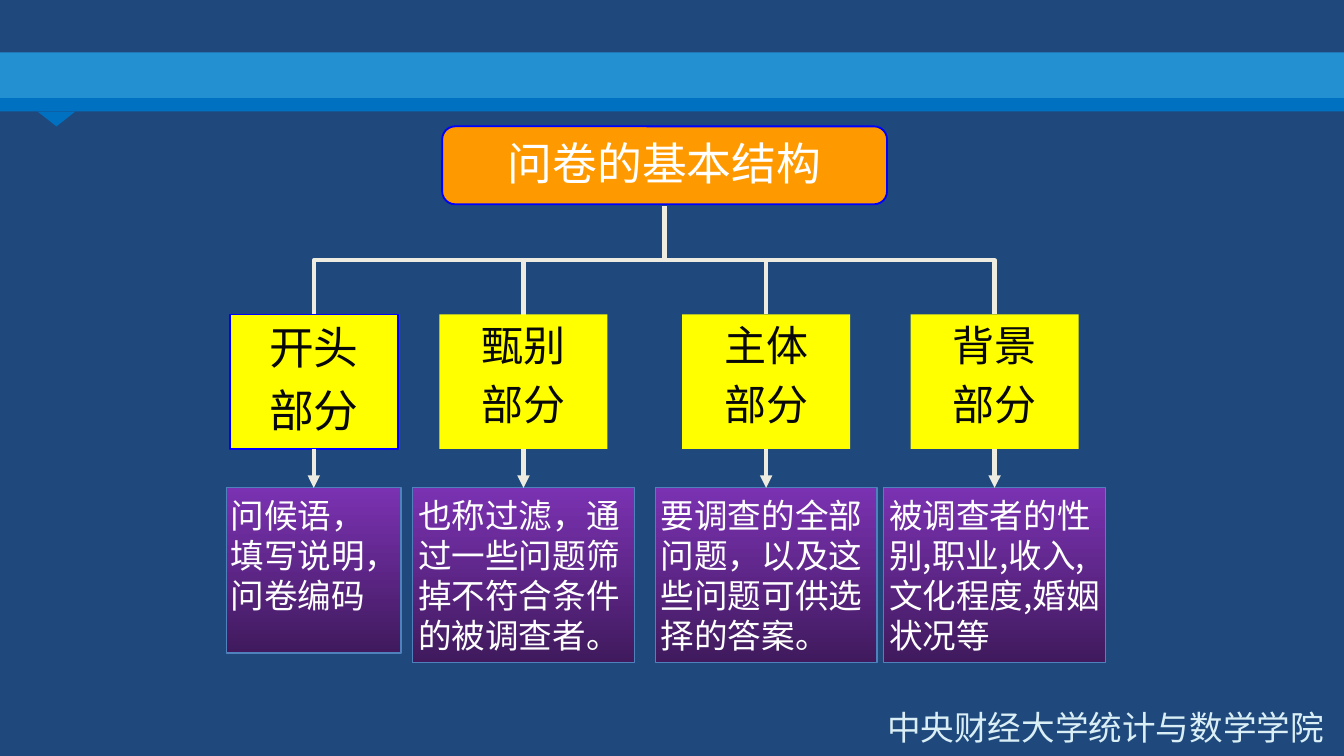
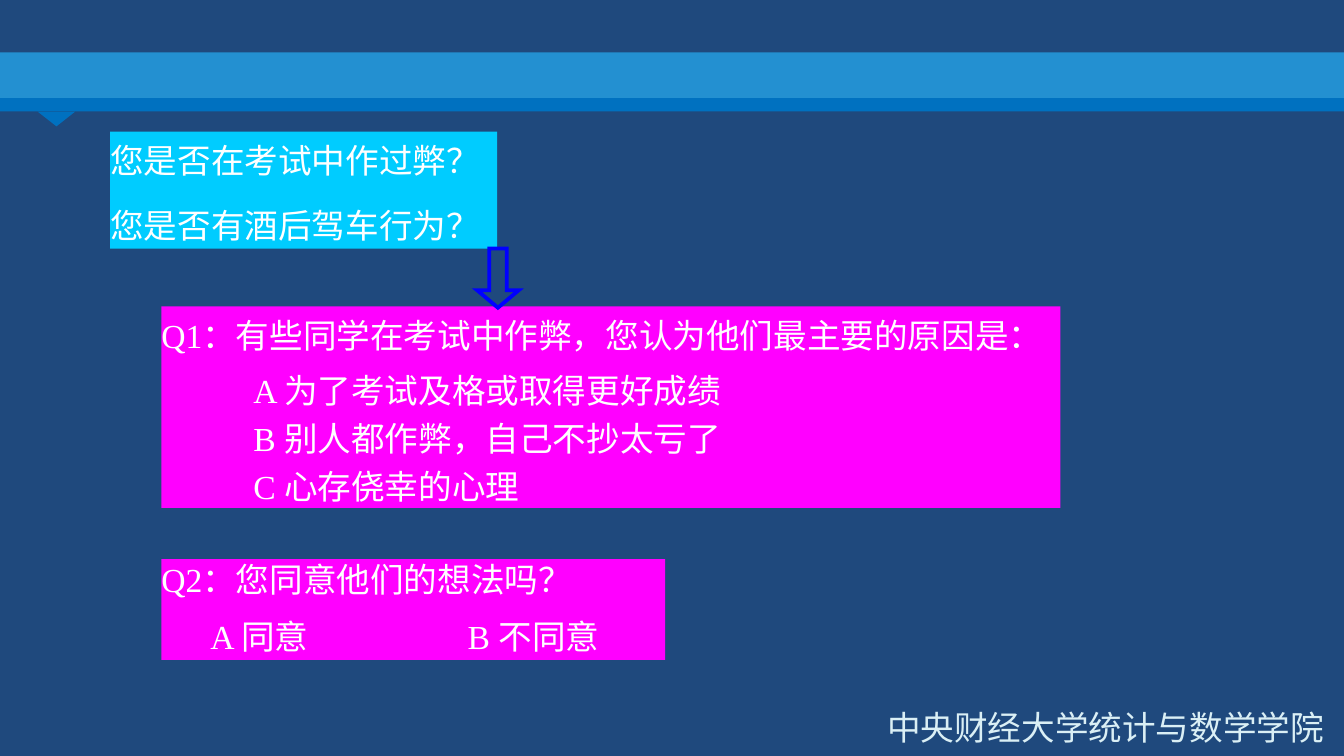
import lxml.etree
import pptx
import pptx.dml.color
import pptx.enum.shapes
import pptx.enum.text
import pptx.oxml.ns
import pptx.util

RGB = pptx.dml.color.RGBColor
SHAPE = pptx.enum.shapes.MSO_SHAPE
CONNECTOR = pptx.enum.shapes.MSO_CONNECTOR
ALIGN = pptx.enum.text.PP_ALIGN
Pt = pptx.util.Pt

NAVY = RGB(0x1F, 0x49, 0x7D)
SKY = RGB(0x23, 0x90, 0xD1)
AZURE = RGB(0x00, 0x71, 0xC0)
ICE = RGB(0xDA, 0xEF, 0xF5)
ORANGE = RGB(0xFF, 0x99, 0x00)
YELLOW = RGB(0xFF, 0xFF, 0x00)
BLUE = RGB(0x00, 0x00, 0xFF)
STEEL = RGB(0x4F, 0x81, 0xBD)
VIOLET = RGB(0x7B, 0x32, 0xB2)
PLUM = RGB(0x40, 0x1A, 0x5D)
CREAM = RGB(0xEE, 0xEC, 0xE1)
CYAN = RGB(0x00, 0xCC, 0xFF)
MAGENTA = RGB(0xFF, 0x00, 0xFF)
INK = RGB(0x08, 0x08, 0x08)
WHITE = RGB(0xFF, 0xFF, 0xFF)

SANS = "Noto Sans CJK SC"
LATIN = "Arial"
SERIF = "Times New Roman"

WIDTH = pptx.util.Inches(10)
HEIGHT = WIDTH * 9 // 16
COLUMN = WIDTH / 100
ROW = HEIGHT / 56.25
LINE_HEIGHT = 1.2

BRANCHES = [
    (6.5, 13, 12.3, 24, 0.3, BLUE, "开头", "问候语，\v填写说明，\v问卷编码"),
    (22.1, 16.5, 13, 22.5, 0.4, None, "甄别",
     "也称过滤，通过一些问题筛掉不符合条件的被调查者。"),
    (40.15, 16.5, 13, 22.5, 0.4, None, "主体",
     "要调查的全部问题，以及这些问题可供选择的答案。"),
    (57.15, 16.5, 13, 22.5, 0.4, None, "背景",
     "被调查者的性别,职业,收入,文化程度,婚姻状况等"),
]


def grid(left, top, width, height):
    """Turn columns and rows into whole lengths."""
    return [round(left * COLUMN), round(top * ROW),
            round(width * COLUMN), round(height * ROW)]


def set_all(target, values):
    """Set each attribute of the target from a dict."""
    for name, value in values.items():
        setattr(target, name, value)


def add_xml(parent, tag, **attributes):
    """Append a drawing element and return it."""
    return lxml.etree.SubElement(parent, pptx.oxml.ns.qn(tag), attributes)


def add_block(slide, kind, box, fill=None, edge=None, edge_width=1):
    """Add a preset shape with plain, gradient or no fill."""
    block = slide.shapes.add_shape(kind, *grid(*box))
    block.shadow.inherit = False
    if isinstance(fill, list):
        block.fill.gradient()
        block.fill.gradient_angle = 270
        for stop, colour in zip(block.fill.gradient_stops, fill):
            stop.color.rgb = colour
    elif fill:
        block.fill.solid()
        block.fill.fore_color.rgb = fill
    else:
        block.fill.background()
    if edge:
        block.line.color.rgb = edge
        block.line.width = Pt(edge_width)
    else:
        block.line.fill.background()
    return block


def write(block, lines, font, size, colour, align=ALIGN.LEFT, leading=1,
          gaps=(), insets=(0, 0, 0, 0), indent=0, tabs=()):
    """Write paragraphs with gaps as shares of the text size."""
    frame = block.text_frame
    left, top, right, bottom = grid(*insets)
    set_all(frame, {
        "word_wrap": True, "auto_size": pptx.enum.text.MSO_AUTO_SIZE.NONE,
        "vertical_anchor": pptx.enum.text.MSO_ANCHOR.TOP,
        "margin_left": left, "margin_top": top,
        "margin_right": right, "margin_bottom": bottom,
    })
    for index, line in enumerate(lines):
        paragraph = frame.add_paragraph() if index else frame.paragraphs[0]
        paragraph.text = line
        set_all(paragraph, {
            "alignment": align, "line_spacing": Pt(size * LINE_HEIGHT * leading),
            "space_before": Pt(size * gaps[index - 1] if index else 0),
        })
        properties = paragraph._p.get_or_add_pPr()
        if indent and index:
            properties.set("marL", str(round(indent * COLUMN)))
            properties.set("indent", "0")
        if tabs and index:
            stops = add_xml(properties, "a:tabLst")
            for tab in tabs:
                add_xml(stops, "a:tab", pos=str(round(tab * COLUMN)), algn="l")
        for run in paragraph.runs:
            set_all(run.font, {"name": font, "size": Pt(size)})
            run.font.color.rgb = colour
            add_xml(run._r.get_or_add_rPr(), "a:ea", typeface=SANS)


def add_link(slide, kind, start, end, arrow=False):
    """Join two points with a cream line."""
    begin_x, begin_y, end_x, end_y = grid(*start, *end)
    link = slide.shapes.add_connector(kind, begin_x, begin_y, end_x, end_y)
    link.line.color.rgb = CREAM
    link.line.width = Pt(2.25)
    if arrow:
        add_xml(link.line._get_or_add_ln(), "a:tailEnd", type="triangle")
    add_xml(link._element.spPr, "a:effectLst")
    return link


def add_elbow(slide, child, parent):
    """Join a child to its parent by a line that leaves upwards."""
    middle_x = (child[0] + parent[0]) / 2
    middle_y = (child[1] + parent[1]) / 2
    rise = (child[1] - parent[1]) / 2
    run = (parent[0] - child[0]) / 2
    link = add_link(slide, CONNECTOR.ELBOW,
                    (middle_x - rise, middle_y - run),
                    (middle_x + rise, middle_y + run))
    link._element.spPr.find(pptx.oxml.ns.qn("a:xfrm")).set("rot", "16200000")


def add_frame(slide):
    """Draw the header bands, their pointer and the footer."""
    pointer = add_block(slide, SHAPE.ISOSCELES_TRIANGLE, (2.8, 8.3, 2.8, 1.1), AZURE)
    pointer.rotation = 180
    add_block(slide, SHAPE.RECTANGLE, (0, 3.9, 100, 3.5), SKY)
    add_block(slide, SHAPE.RECTANGLE, (0, 7.3, 100, 1), AZURE)
    footer = slide.shapes.add_textbox(*grid(58.2, 52.1, 41.3, 4))
    write(footer, ["中央财经大学统计与数学学院"], SANS, 18, ICE, ALIGN.RIGHT,
          insets=(1, 0.5, 1, 0.5))


def add_branch(slide, box, root, branch):
    """Draw one part of the questionnaire, with its detail below."""
    left, top, height = box
    offset, detail_width, detail_height, size, inset, edge, part, detail = branch
    centre = left + offset
    head_top, head_height, detail_top = top + 14, 10, top + 26.9
    add_elbow(slide, (centre, head_top), root)
    head = add_block(slide, SHAPE.RECTANGLE,
                     (centre - 6.25, head_top, 12.5, head_height), YELLOW, edge)
    write(head, [part, "部分"], LATIN, size, INK, ALIGN.CENTER, gaps=[0.2],
          insets=(0.7, 0.4, 0.7, 0.4))
    card = add_block(slide, SHAPE.RECTANGLE,
                     (centre - detail_width / 2, detail_top, detail_width,
                      detail_height * height / 39.9),
                     [VIOLET, PLUM], STEEL, 0.75)
    write(card, [detail], SANS, 18, WHITE, insets=(inset, 0.5, 0, 0.5))
    add_link(slide, CONNECTOR.STRAIGHT, (centre, head_top + head_height),
             (centre, detail_top), arrow=True)


def add_structure(slide, box):
    """Draw the questionnaire tree in the given box."""
    left, top, width, height = box
    centre = left + width / 2
    title = add_block(slide, SHAPE.ROUNDED_RECTANGLE,
                      (centre - 16.55, top, 33.1, 5.8), ORANGE, BLUE)
    write(title, ["问卷的基本结构"], LATIN, 24, WHITE, ALIGN.CENTER,
          insets=(0.7, 0.4, 0.7, 0.4))
    for branch in BRANCHES:
        add_branch(slide, (left, top, height), (centre, top + 5.9), branch)


def add_questions(slide, box):
    """Draw the direct questions and their indirect rewording."""
    left, top, width, height = box
    direct = add_block(slide, SHAPE.RECTANGLE, (left, top, 28.8, 8.7), CYAN)
    write(direct, ["您是否在考试中作过弊？", "您是否有酒后驾车行为？"],
          SERIF, 18, WHITE, leading=1.2, gaps=[0.5])
    reasons = add_block(slide, SHAPE.RECTANGLE,
                        (left + 3.8, top + 13, width - 3.8, 15), MAGENTA)
    write(reasons, ["Q1：有些同学在考试中作弊，您认为他们最主要的原因是：",
                    "A 为了考试及格或取得更好成绩",
                    "B 别人都作弊，自己不抄太亏了",
                    "C 心存侥幸的心理"],
          SERIF, 18, WHITE, leading=1.2, gaps=[0.2, 0, 0], indent=6.85)
    opinion = add_block(slide, SHAPE.RECTANGLE,
                        (left + 3.8, top + height - 7.5, 37.5, 7.5), MAGENTA)
    write(opinion, ["Q2：您同意他们的想法吗？", "\tA 同意\tB 不同意"],
          SERIF, 18, WHITE, gaps=[0.5], tabs=[3.65, 22.8])
    arrow = add_block(slide, SHAPE.DOWN_ARROW,
                      (left + 27.3, top + 8.7, 3.1, 4.4), None, BLUE, 2)
    arrow.adjustments[0] = 0.42
    arrow.adjustments[1] = 0.42
    add_xml(arrow.line._get_or_add_ln(), "a:miter", lim="800000")


def main():
    """Build and save the two slides."""
    deck = pptx.Presentation()
    set_all(deck, {"slide_width": WIDTH, "slide_height": HEIGHT})
    backdrop = deck.slide_master.background.fill
    backdrop.solid()
    backdrop.fore_color.rgb = NAVY
    for add_content, box in [(add_structure, (16.85, 9.4, 65.2, 39.9)),
                             (add_questions, (8.2, 9.8, 70.7, 39.3))]:
        slide = deck.slides.add_slide(deck.slide_layouts[6])
        add_frame(slide)
        add_content(slide, box)
    deck.save("out.pptx")


if __name__ == "__main__":
    main()
